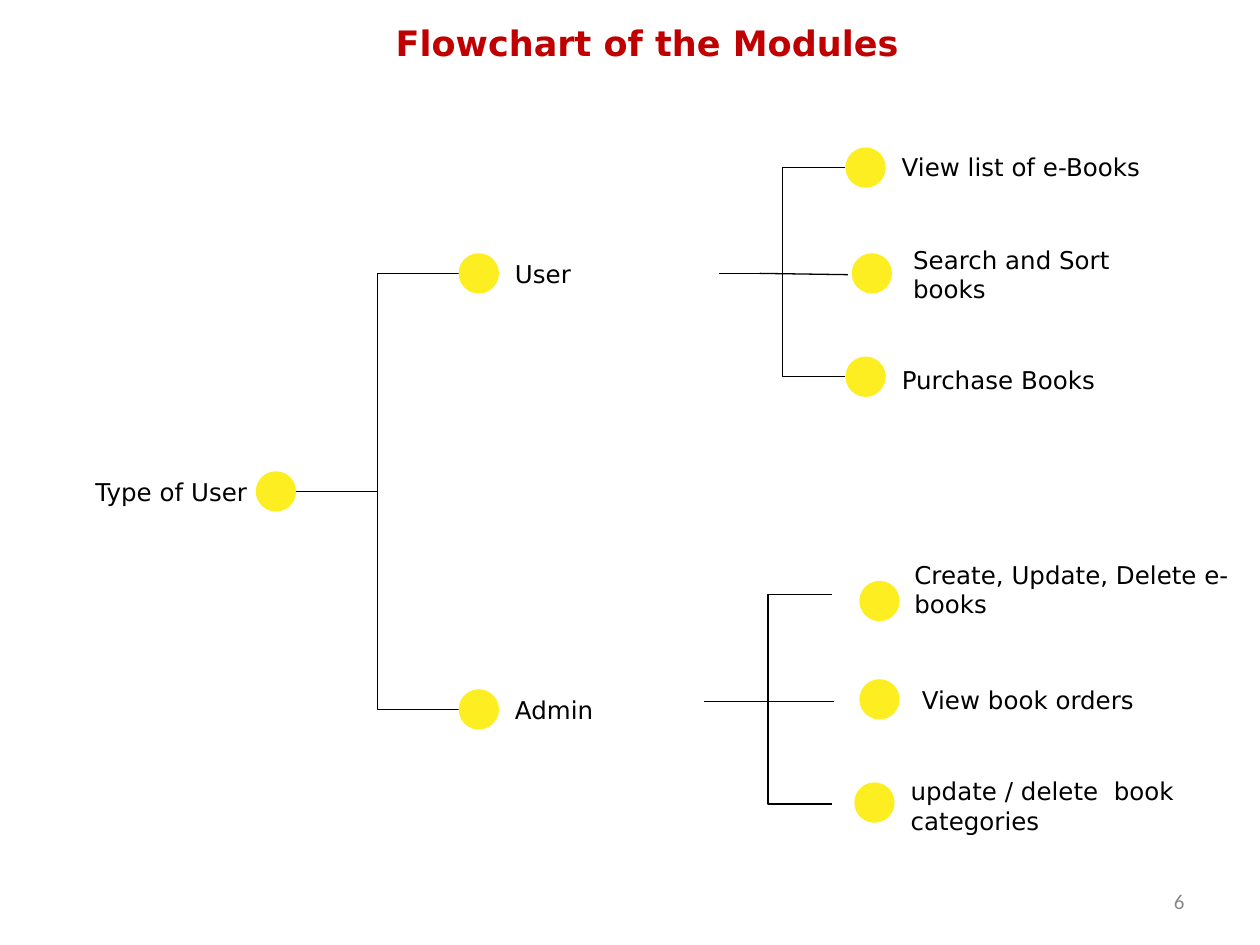
from lxml import etree
from pptx import Presentation
from pptx.dml.color import RGBColor
from pptx.enum.shapes import MSO_CONNECTOR, MSO_SHAPE
from pptx.enum.text import MSO_ANCHOR, MSO_AUTO_SIZE, PP_ALIGN
from pptx.oxml.ns import qn
from pptx.util import Pt

PX = 9144
ELBOW, STRAIGHT = MSO_CONNECTOR.ELBOW, MSO_CONNECTOR.STRAIGHT
CIRCLE, ROUNDED = MSO_SHAPE.OVAL, MSO_SHAPE.ROUNDED_RECTANGLE
LEFT, RIGHT = PP_ALIGN.LEFT, PP_ALIGN.RIGHT
TOP, MIDDLE = MSO_ANCHOR.TOP, MSO_ANCHOR.MIDDLE
FIT_SHAPE = MSO_AUTO_SIZE.SHAPE_TO_FIT_TEXT

RED = RGBColor(0xC0, 0x00, 0x00)
YELLOW = RGBColor(0xFC, 0xEE, 0x21)
BLACK = RGBColor(0x00, 0x00, 0x00)
GREY = RGBColor(0x89, 0x89, 0x89)

DOT = 32
LABEL_HEIGHT = 59


def px(*lengths):
    return [length * PX for length in lengths]


def write(frame, text, size=14, font="DejaVu Sans", color=BLACK, bold=False,
          align=LEFT, anchor=MIDDLE, pad=10, bottom=None):
    frame.word_wrap = True
    frame.vertical_anchor = anchor
    frame.margin_left = frame.margin_right = 10 * PX
    frame.margin_top = pad * PX
    frame.margin_bottom = (pad if bottom is None else bottom) * PX
    paragraph = frame.paragraphs[0]
    paragraph.alignment = align
    run = paragraph.add_run()
    run.text = text
    run.font.size = Pt(size)
    run.font.name = font
    run.font.bold = bold
    run.font.color.rgb = color


prs = Presentation()
prs.slide_width, prs.slide_height = px(1000, 750)
slide = prs.slides.add_slide(prs.slide_layouts[5])
shapes = slide.shapes

heading = shapes.title
heading.left, heading.top, heading.width, heading.height = px(304, 12, 462, 44)
write(heading.text_frame, "Flowchart of the Modules", size=20, color=RED,
      bold=True, anchor=TOP, pad=5)
heading.text_frame.auto_size = FIT_SHAPE

branches = [
    (ELBOW, 235, 390, 364, 563),
    (ELBOW, 235, 390, 364, 217),
    (ELBOW, 571, 217, 671, 133),
    (ELBOW, 571, 217, 671, 299),
    (STRAIGHT, 603, 217, 673, 218),
    (ELBOW, 559, 557, 660, 472),
    (ELBOW, 559, 557, 660, 638),
    (STRAIGHT, 591, 557, 662, 557),
]
for kind, *ends in branches:
    branch = shapes.add_connector(kind, *px(*ends))
    branch.line.color.rgb = BLACK
    branch.line.width = Pt(0.75)
    etree.SubElement(branch._element.spPr, qn("a:effectLst"))

modules = [
    ("Type of User", 203, 374, -8, 361, 217, {"align": RIGHT}),
    ("User", 364, 201, 396, 188, 175, {}),
    ("Admin", 364, 547, 396, 534, 143, {}),
    ("View list of e-Books", 671, 117, 703, 103, 250, {}),
    ("Search and Sort books", 676, 201, 712, 188, 217, {}),
    ("Purchase Books", 671, 283, 703, 272, 299, {}),
    ("Create, Update, Delete e-books", 682, 461, 713, 447, 292, {"bottom": 28}),
    ("View book orders", 682, 539, 719, 526, 217, {}),
    ("update / delete  book categories", 678, 621, 710, 610, 299, {}),
]
for name, dot_x, dot_y, label_x, label_y, label_width, style in modules:
    label = shapes.add_shape(ROUNDED, *px(label_x, label_y, label_width, LABEL_HEIGHT))
    label.fill.background()
    label.line.fill.background()
    label.shadow.inherit = False
    write(label.text_frame, name, **style)

    dot = shapes.add_shape(CIRCLE, *px(dot_x, dot_y, DOT, DOT))
    dot.fill.solid()
    dot.fill.fore_color.rgb = YELLOW
    dot.line.fill.background()
    dot.shadow.inherit = False

page_number = shapes.add_textbox(*px(717, 695, 233, 40))
write(page_number.text_frame, "6", size=12, font="Calibri", color=GREY,
      align=RIGHT, pad=5)

prs.save("out.pptx")
